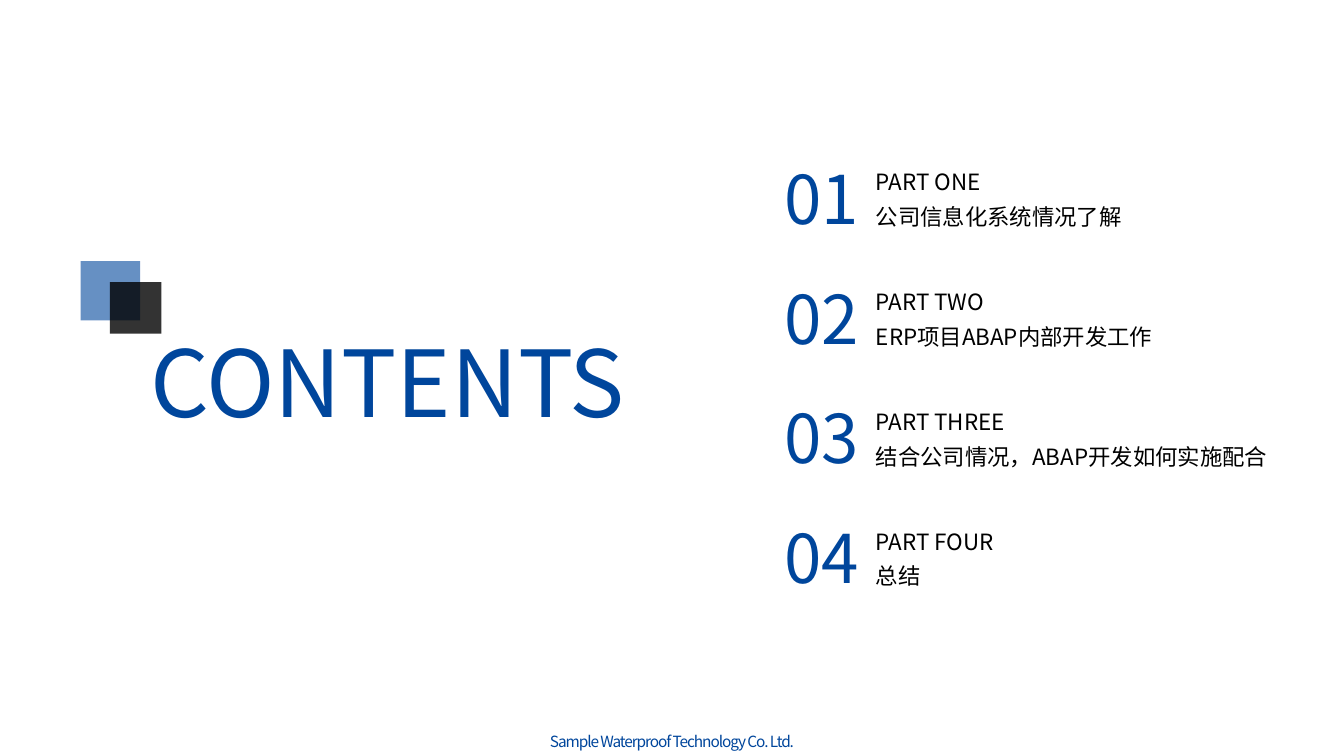
"""Builds a contents slide with four numbered parts."""
from dataclasses import dataclass

from lxml.etree import SubElement
from pptx import Presentation
from pptx.dml.color import RGBColor as RGB
from pptx.enum.shapes import MSO_SHAPE as SHAPE
from pptx.enum.text import MSO_ANCHOR as ANCHOR, MSO_AUTO_SIZE as FIT, PP_ALIGN as ALIGN
from pptx.oxml.ns import qn
from pptx.util import Inches, Pt


@dataclass(frozen=True)
class Theme:
    font: str = "Noto Sans CJK SC"
    blue: RGB = RGB(0x00, 0x46, 0x9C)
    black: RGB = RGB(0x00, 0x00, 0x00)
    title: int = 66
    number: int = 48
    body: int = 16
    footer: int = 11


theme = Theme()
prs = Presentation()
prs.slide_width, prs.slide_height = Inches(13.33), Inches(7.5)
s = prs.slides.add_slide(prs.slide_layouts[5])


def box(left, top, width, height):
    """Turn percentages of the slide into lengths."""
    w, h = prs.slide_width / 100, prs.slide_height / 100
    return [int(v) for v in (left * w, top * h, width * w, height * h)]


def write(sp, lines, size, color, align=ALIGN.LEFT, leading=1.0, tracking=0):
    """Fill a shape with one paragraph per line."""
    tf = sp.text_frame
    tf.text = "\n".join(lines)
    tf.word_wrap, tf.auto_size = True, FIT.NONE
    tf.vertical_anchor = ANCHOR.TOP
    for p in tf.paragraphs:
        p.alignment, p.line_spacing = align, leading
        p.font.size, p.font.name = Pt(size), theme.font
        p.font.color.rgb = color
        props = p._p.find(".//" + qn("a:defRPr"))
        props.set("spc", str(tracking))
        SubElement(props, qn("a:ea"), typeface=theme.font)


title = s.shapes.title
title.left, title.top, title.width, title.height = box(10.43, 42.4, 38.78, 16.13)
write(title, ["CONTENTS"], theme.title, theme.blue)

squares = [
    ((6, 34.53, 4.43, 7.87), theme.blue, 60),
    ((8.18, 37.33, 3.83, 6.8), theme.black, 80),
]
for place, color, opacity in squares:
    sp = s.shapes.add_shape(SHAPE.RECTANGLE, *box(*place))
    sp.shadow.inherit = False
    sp.line.fill.background()
    sp.fill.solid()
    sp.fill.fore_color.rgb = color
    fill_color = sp._element.spPr.find(".//" + qn("a:srgbClr"))
    SubElement(fill_color, qn("a:alpha"), val=str(opacity * 1000))

parts = [
    ("PART ONE", "公司信息化系统情况了解", 19.8),
    ("PART TWO", "ERP项目ABAP内部开发工作", 22.43),
    ("PART THREE", "结合公司情况，ABAP开发如何实施配合", 30.91),
    ("PART FOUR", "总结", 10.65),
]
row = 15.85
for i, (label, topic, width) in enumerate(parts):
    sp = s.shapes.add_textbox(*box(64.44, 20.53 + i * row, width, 10.67))
    write(sp, [label, topic], theme.body, theme.black, leading=1.3)
    sp = s.shapes.add_textbox(*box(57.61, 20.13 + i * row, 7.43, 12.13))
    write(sp, [f"{i + 1:02}"], theme.number, theme.blue)

footer = s.shapes.add_textbox(*box(39.91, 96.13, 20.18, 3.87))
write(footer, ["Sample Waterproof Technology Co. Ltd."], theme.footer, theme.blue,
      align=ALIGN.CENTER, tracking=-80)

prs.save("out.pptx")
